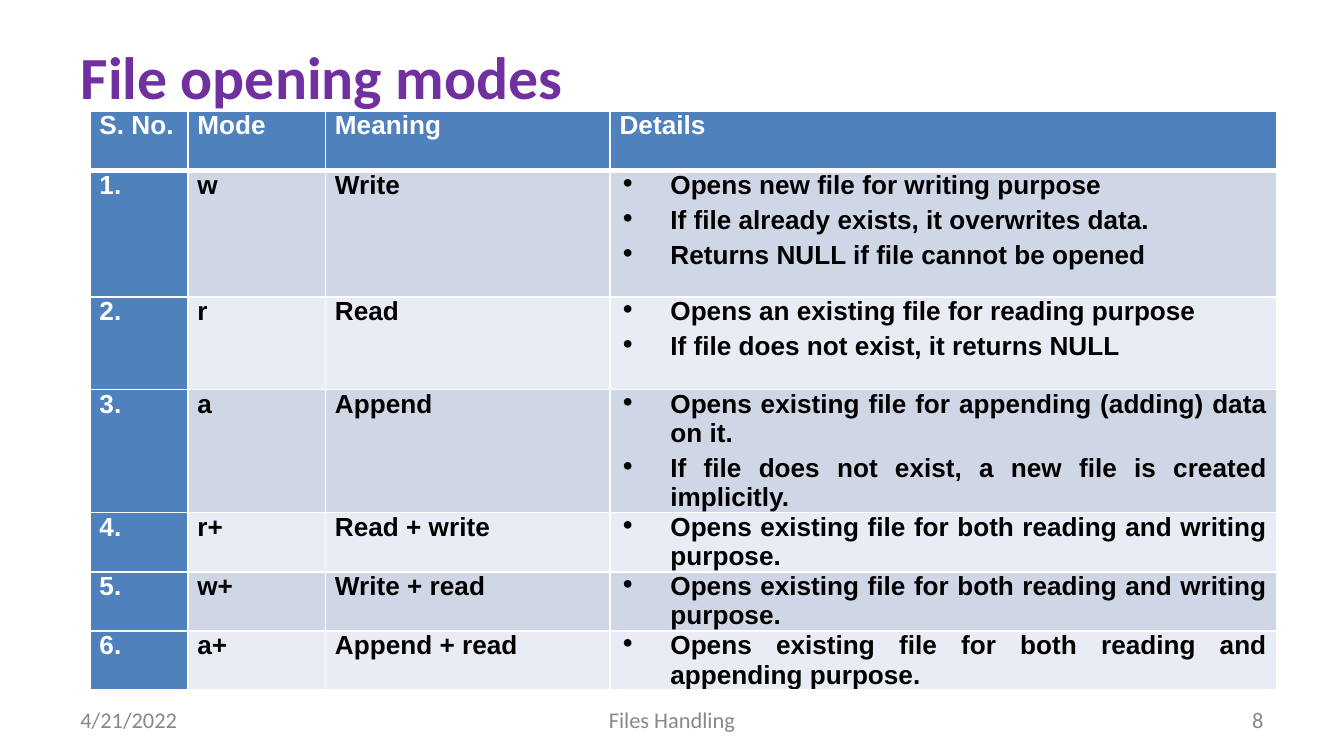
from dataclasses import dataclass

from lxml.etree import SubElement
from pptx import Presentation
from pptx.dml.color import RGBColor
from pptx.enum.text import MSO_ANCHOR, PP_ALIGN
from pptx.oxml.ns import qn
from pptx.slide import Slide
from pptx.table import _Cell
from pptx.text.text import _Paragraph
from pptx.util import Cm, Pt

COLORS = {
    "title": "7030A0",
    "header": "4F81BD",
    "band_dark": "CFD7E7",
    "band_light": "E8ECF4",
    "white": "FFFFFF",
    "black": "000000",
    "footer": "888888",
}
HEADINGS = ("S. No.", "Mode", "Meaning", "Details")
COLUMN_WIDTHS = (1.85, 2.6, 5.38, 12.6)
HEADER_HEIGHT = 1.12
BULLET_INDENT = Cm(0.96)


@dataclass
class FileMode:
    mode: str
    meaning: str
    details: tuple[str, ...]
    height: float = 1.12


@dataclass
class FooterItem:
    text: str
    left: float
    width: float
    alignment: PP_ALIGN


FILE_MODES = (
    FileMode("w", "Write", (
        "Opens new file for writing purpose",
        "If file already exists, it overwrites data.",
        "Returns NULL if file cannot be opened"), 2.39),
    FileMode("r", "Read", (
        "Opens an existing file for reading purpose",
        "If file does not exist, it returns NULL"), 1.75),
    FileMode("a", "Append", (
        "Opens existing file for appending (adding) data on it.",
        "If file does not exist, a new file is created implicitly."), 2.32),
    FileMode("r+", "Read + write", (
        "Opens existing file for both reading and writing purpose.",)),
    FileMode("w+", "Write + read", (
        "Opens existing file for both reading and writing purpose.",)),
    FileMode("a+", "Append + read", (
        "Opens existing file for both reading and appending purpose.",)),
)
FOOTER_ITEMS = (
    FooterItem("4/21/2022", 1.27, 5.93, PP_ALIGN.LEFT),
    FooterItem("Files Handling", 8.68, 8.04, PP_ALIGN.CENTER),
    FooterItem("8", 18.2, 5.93, PP_ALIGN.RIGHT),
)


def style_paragraph(paragraph: _Paragraph, font_name: str, size: int, color: str,
                    bold: bool, alignment: PP_ALIGN) -> None:
    paragraph.alignment = alignment
    paragraph.font.name = font_name
    paragraph.font.size = Pt(size)
    paragraph.font.bold = bold
    paragraph.font.color.rgb = RGBColor.from_string(COLORS[color])


def add_bullet(paragraph: _Paragraph) -> None:
    properties = paragraph._p.get_or_add_pPr()
    properties.set("marL", str(BULLET_INDENT))
    properties.set("indent", str(-BULLET_INDENT))
    bullet_color = SubElement(properties, qn("a:buClr"))
    SubElement(bullet_color, qn("a:srgbClr"), val=COLORS["black"])
    SubElement(properties, qn("a:buChar"), char="∙")


def set_borders(cell: _Cell, bottom_width: int) -> None:
    properties = cell._tc.get_or_add_tcPr()
    for side, width in (("L", 1), ("R", 1), ("T", 1), ("B", bottom_width)):
        line = SubElement(properties, qn(f"a:ln{side}"), w=str(Pt(width)))
        fill = SubElement(line, qn("a:solidFill"))
        SubElement(fill, qn("a:srgbClr"), val=COLORS["white"])


def fill_cell(cell: _Cell, lines: tuple[str, ...], fill: str, color: str,
              bulleted: bool = False, bottom_width: int = 1) -> None:
    cell.margin_left = cell.margin_right = Cm(0.18)
    cell.margin_top = cell.margin_bottom = 0
    set_borders(cell, bottom_width)
    cell.fill.solid()
    cell.fill.fore_color.rgb = RGBColor.from_string(COLORS[fill])
    cell.text = "\n".join(lines)
    for index, paragraph in enumerate(cell.text_frame.paragraphs):
        if bulleted:
            add_bullet(paragraph)
        if index:
            paragraph.space_before = Pt(3)
        style_paragraph(paragraph, "Arial", 14, color, True, PP_ALIGN.JUSTIFY)


def add_title(slide: Slide, text: str) -> None:
    title = slide.shapes.title
    title.left, title.top, title.width, title.height = Cm(1.27), Cm(0.58), Cm(22.86), Cm(1.7)
    title.text_frame.text = text
    title.text_frame.vertical_anchor = MSO_ANCHOR.MIDDLE
    style_paragraph(title.text_frame.paragraphs[0], "Calibri", 32, "title", True, PP_ALIGN.LEFT)


def add_mode_table(slide: Slide) -> None:
    heights = [HEADER_HEIGHT] + [file_mode.height for file_mode in FILE_MODES]
    table = slide.shapes.add_table(
        len(heights), len(HEADINGS), Cm(1.7), Cm(2.1),
        Cm(sum(COLUMN_WIDTHS)), Cm(sum(heights))).table
    for column, width in zip(table.columns, COLUMN_WIDTHS):
        column.width = Cm(width)
    for row, height in zip(table.rows, heights):
        row.height = Cm(height)

    # Header row
    for column_index, heading in enumerate(HEADINGS):
        fill_cell(table.cell(0, column_index), (heading,), "header", "white", bottom_width=3)

    # One banded row per mode
    for number, file_mode in enumerate(FILE_MODES, start=1):
        band = "band_dark" if number % 2 else "band_light"
        fill_cell(table.cell(number, 0), (f"{number}.",), "header", "white")
        fill_cell(table.cell(number, 1), (file_mode.mode,), band, "black")
        fill_cell(table.cell(number, 2), (file_mode.meaning,), band, "black")
        fill_cell(table.cell(number, 3), file_mode.details, band, "black", bulleted=True)
    # The rule under the header belongs to both adjoining rows
    for column_index in range(len(HEADINGS)):
        top_line = table.cell(1, column_index)._tc.tcPr.find(qn("a:lnT"))
        top_line.set("w", str(Pt(3)))


def add_footer_item(slide: Slide, item: FooterItem) -> None:
    box = slide.shapes.add_textbox(Cm(item.left), Cm(13.23), Cm(item.width), Cm(0.76))
    box.text_frame.word_wrap = True
    box.text_frame.vertical_anchor = MSO_ANCHOR.MIDDLE
    box.text_frame.text = item.text
    style_paragraph(box.text_frame.paragraphs[0], "Calibri", 12, "footer", False, item.alignment)


def main() -> None:
    presentation = Presentation()
    presentation.slide_width, presentation.slide_height = Cm(25.4), Cm(14.29)
    slide = presentation.slides.add_slide(presentation.slide_layouts[5])
    add_title(slide, "File opening modes")
    add_mode_table(slide)
    for item in FOOTER_ITEMS:
        add_footer_item(slide, item)
    presentation.save("out.pptx")


if __name__ == "__main__":
    main()
